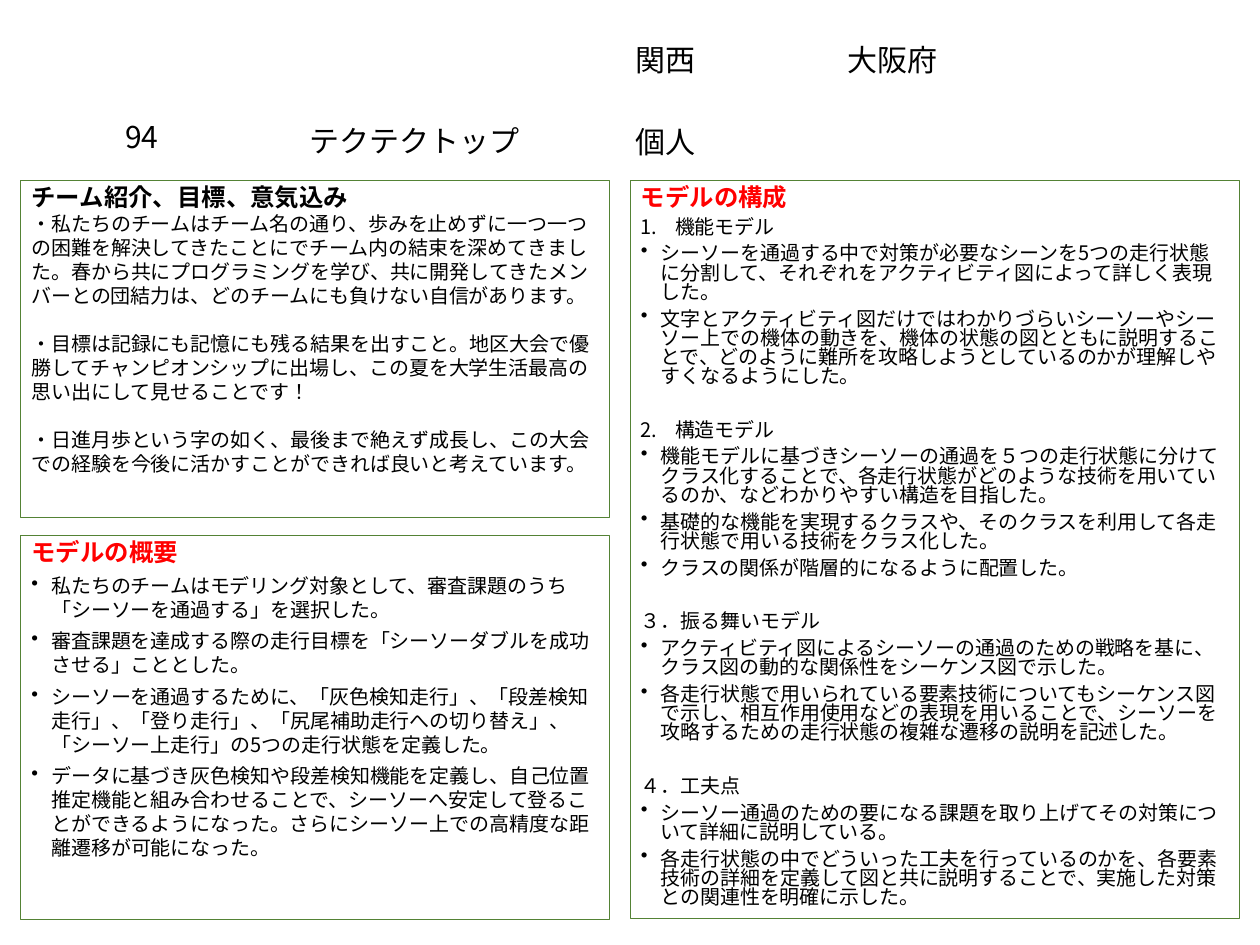
from dataclasses import dataclass

from lxml.etree import SubElement
from pptx import Presentation
from pptx.dml.color import RGBColor as Color
from pptx.enum.lang import MSO_LANGUAGE_ID as Language
from pptx.enum.shapes import MSO_SHAPE as Shape
from pptx.enum.text import MSO_ANCHOR as Anchor, PP_ALIGN as Align
from pptx.oxml.ns import qn
from pptx.util import Inches, Pt


@dataclass(frozen=True)
class Theme:
    text: Color = Color(0, 0, 0)
    accent: Color = Color(255, 0, 0)
    border: Color = Color(0x54, 0x82, 0x35)
    font: str = "Noto Sans CJK JP"
    latin: str = "Times New Roman"
    label: float = 24
    heading: float = 19.5
    body: float = 16
    heading_line: float = 20
    loose_line: float = 19.2
    tight_line: float = 15.4
    gap: float = 6
    bullet_indent: float = 0.22
    number_indent: float = 0.38


THEME = Theme()
WIDTH, HEIGHT = Inches(14), Inches(10.5)
LEFT, RIGHT = 1.64, 50
TOP, MIDDLE = 19.14, 56.67

# Text, font, then left, top, width and height in percent of the slide
LABELS = [
    ("関西", THEME.font, (49.43, 3.52, 13.5, 5.52)),
    ("大阪府", THEME.latin, (66.29, 3.52, 18, 5.52)),
    ("94", THEME.font, (8.93, 11.71, 5.64, 5.52)),
    ("テクテクトップ", THEME.font, (23.57, 12.48, 18.93, 4.67)),
    ("個人", THEME.font, (49.43, 12.19, 34.86, 5.52)),
]

TEAM = [
    "・私たちのチームはチーム名の通り、歩みを止めずに一つ一つの困難を解決してきたことにでチーム内の結束を深めてきました。春から共にプログラミングを学び、共に開発してきたメンバーとの団結力は、どのチームにも負けない自信があります。",
    "・目標は記録にも記憶にも残る結果を出すこと。地区大会で優勝してチャンピオンシップに出場し、この夏を大学生活最高の思い出にして見せることです！",
    "・日進月歩という字の如く、最後まで絶えず成長し、この大会での経験を今後に活かすことができれば良いと考えています。",
]

OVERVIEW = [
    "私たちのチームはモデリング対象として、審査課題のうち「シーソーを通過する」を選択した。",
    "審査課題を達成する際の走行目標を「シーソーダブルを成功させる」こととした。",
    "シーソーを通過するために、「灰色検知走行」、「段差検知走行」、「登り走行」、「尻尾補助走行への切り替え」、「シーソー上走行」の5つの走行状態を定義した。",
    "データに基づき灰色検知や段差検知機能を定義し、自己位置推定機能と組み合わせることで、シーソーへ安定して登ることができるようになった。さらにシーソー上での高精度な距離遷移が可能になった。",
]

# Automatic number (None where the number is typed), title, bullets
SECTIONS = [
    (1, "機能モデル", [
        "シーソーを通過する中で対策が必要なシーンを5つの走行状態に分割して、それぞれをアクティビティ図によって詳しく表現した。",
        "文字とアクティビティ図だけではわかりづらいシーソーやシーソー上での機体の動きを、機体の状態の図とともに説明することで、どのように難所を攻略しようとしているのかが理解しやすくなるようにした。",
    ]),
    (2, "構造モデル", [
        "機能モデルに基づきシーソーの通過を５つの走行状態に分けてクラス化することで、各走行状態がどのような技術を用いているのか、などわかりやすい構造を目指した。",
        "基礎的な機能を実現するクラスや、そのクラスを利用して各走行状態で用いる技術をクラス化した。",
        "クラスの関係が階層的になるように配置した。",
    ]),
    (None, "３．振る舞いモデル", [
        "アクティビティ図によるシーソーの通過のための戦略を基に、クラス図の動的な関係性をシーケンス図で示した。",
        "各走行状態で用いられている要素技術についてもシーケンス図で示し、相互作用使用などの表現を用いることで、シーソーを攻略するための走行状態の複雑な遷移の説明を記述した。",
    ]),
    (None, "４．工夫点", [
        "シーソー通過のための要になる課題を取り上げてその対策について詳細に説明している。",
        "各走行状態の中でどういった工夫を行っているのかを、各要素技術の詳細を定義して図と共に説明することで、実施した対策との関連性を明確に示した。",
    ]),
]


def apply(target, formats):
    for name, value in formats.items():
        setattr(target, name, value)


def place(area):
    """Turn percent shares of the slide into lengths."""
    return [int(side * share / 100)
            for side, share in zip((WIDTH, HEIGHT) * 2, area)]


def set_frame(frame, anchor, across, down):
    apply(frame, {
        "word_wrap": True, "vertical_anchor": anchor,
        "margin_left": Inches(across), "margin_right": Inches(across),
        "margin_top": Inches(down), "margin_bottom": Inches(down),
    })


def write(para, text, size, font=THEME.font, color=THEME.text, bold=False):
    para.alignment = Align.LEFT
    span = para.add_run()
    span.text = text
    span.font.color.rgb = color
    apply(span.font, {"size": Pt(size), "name": font, "bold": bold,
                      "language_id": Language.JAPANESE})
    east_asian = SubElement(span.font._element, qn("a:ea"))
    east_asian.set("typeface", THEME.font)


def add_marker(para, indent, tag, **values):
    properties = para._p.get_or_add_pPr()
    properties.set("marL", str(Inches(indent)))
    properties.set("indent", str(-Inches(indent)))
    marker = SubElement(properties, qn(tag))
    for name, value in values.items():
        marker.set(name, value)


def add_para(box, text, line, before):
    para = box.text_frame.add_paragraph()
    apply(para, {"line_spacing": Pt(line), "space_before": Pt(before)})
    write(para, text, THEME.body)
    return para


def add_bullet(box, text, line):
    para = add_para(box, text, line, THEME.gap)
    add_marker(para, THEME.bullet_indent, "a:buChar", char="•")


def add_label(page, text, font, area):
    box = page.shapes.add_textbox(*place(area))
    set_frame(box.text_frame, Anchor.MIDDLE, 0.14, 0.07)
    write(box.text_frame.paragraphs[0], text, THEME.label, font)


def add_panel(page, title, color, area):
    """Add an outlined box that opens with a bold heading."""
    box = page.shapes.add_shape(Shape.RECTANGLE, *place(area))
    box.shadow.inherit = False
    box.fill.background()
    box.line.color.rgb = THEME.border
    box.line.width = Pt(0.75)
    set_frame(box.text_frame, Anchor.TOP, 0.12, 0.06)
    para = box.text_frame.paragraphs[0]
    para.line_spacing = Pt(THEME.heading_line)
    write(para, title, THEME.heading, THEME.latin, color, True)
    return box


def add_sections(box):
    line = THEME.tight_line
    for index, (number, title, bullets) in enumerate(SECTIONS):
        before = line + 2 * THEME.gap if index else THEME.gap
        para = add_para(box, title, line, before)
        if number:
            add_marker(para, THEME.number_indent, "a:buAutoNum",
                       type="arabicPeriod", startAt=str(number))
        for text in bullets:
            add_bullet(box, text, line)


def main():
    deck = Presentation()
    apply(deck, {"slide_width": WIDTH, "slide_height": HEIGHT})
    page = deck.slides.add_slide(deck.slide_layouts[6])

    for label in LABELS:
        add_label(page, *label)

    structure = add_panel(page, "モデルの構成", THEME.accent,
                          (RIGHT, TOP, 48.36, 78.1))
    add_sections(structure)

    team = add_panel(page, "チーム紹介、目標、意気込み", THEME.text,
                     (LEFT, TOP, 46.71, 35.62))
    for index, text in enumerate(TEAM):
        add_para(team, text, THEME.loose_line, THEME.loose_line if index else 0)

    overview = add_panel(page, "モデルの概要", THEME.accent,
                         (LEFT, MIDDLE, 46.71, 40.67))
    for text in OVERVIEW:
        add_bullet(overview, text, THEME.loose_line)

    deck.save("out.pptx")


if __name__ == "__main__":
    main()
